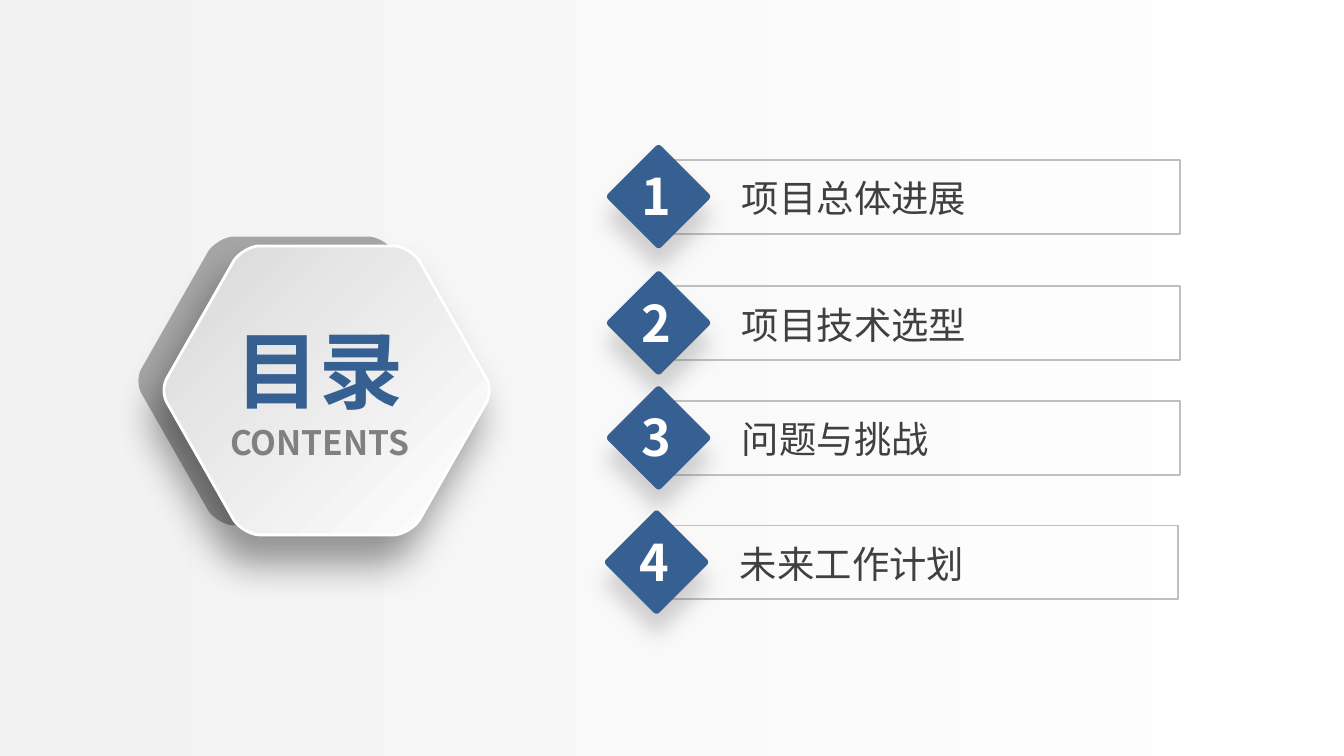
import dataclasses
import typing

import lxml.etree
import pptx
import pptx.dml.color
import pptx.enum.shapes
import pptx.enum.text
import pptx.oxml.ns
import pptx.util

# The slide is a grid of 100 columns by 56.25 rows with square cells
COLUMNS, ROWS = 100, 56.25
CELL = pptx.util.Inches(0.1)
FONT = "Noto Sans CJK SC"
BLUE, WHITE, SILVER = "376092", "FFFFFF", "BFBFBF"
SHAPE = pptx.enum.shapes.MSO_SHAPE
ALIGN = pptx.enum.text.PP_ALIGN
ANCHOR = pptx.enum.text.MSO_ANCHOR
FIT = pptx.enum.text.MSO_AUTO_SIZE
Point = tuple[float, float]


@dataclasses.dataclass
class Area:
    column: float
    row: float
    width: float
    height: float

    def emu(self) -> list[int]:
        return [cells(n) for n in dataclasses.astuple(self)]


@dataclasses.dataclass
class Style:
    size: float
    color: str
    bold: bool = True
    align: typing.Any = ALIGN.CENTER
    anchor: typing.Any = ANCHOR.TOP
    margins: Point = (0.7, 0.4)
    wrap: bool = True
    fit: typing.Any = FIT.SHAPE_TO_FIT_TEXT


@dataclasses.dataclass
class Shadow:
    color: str
    opacity: int
    blur: float
    distance: float
    angle: int


@dataclasses.dataclass
class Entry:
    text: str
    column: float
    row: float


TITLE = Style(45, BLUE, margins=(1, 0.5))
SUBTITLE = Style(18, "808080", anchor=ANCHOR.MIDDLE, fit=FIT.NONE)
ENTRY = Style(20, "404040", bold=False, align=ALIGN.LEFT)
NUMBER = Style(27, WHITE, align=ALIGN.LEFT, wrap=False)
HEXAGON_SHADOW = Shadow("000000", 40, 21, 16, 113)
DIAMOND_SHADOW = Shadow("595959", 25, 11, 11, 90)
ENTRIES = [
    Entry("项目总体进展", 48.9, 11.9),
    Entry("项目技术选型", 48.9, 21.3),
    Entry("问题与挑战", 48.9, 29.85),
    Entry("未来工作计划", 48.75, 39.1),
]

# Hexagon corners as Bezier control points, in cells
HEXAGON_WIDTH, HEXAGON_HEIGHT = 24.2, 21.5
LOWER_CORNER = [(7.1, 21.5), (6.5, 21.5), (5.6, 21), (5.2, 20.4)]
SIDE_CORNER = [(0.3, 11.8), (-0.1, 11.2), (-0.1, 10.3), (0.3, 9.7)]
CURVE_STEPS = 10


def cells(count: float) -> int:
    return round(count * CELL)


def rgb(color: str) -> pptx.dml.color.RGBColor:
    return pptx.dml.color.RGBColor.from_string(color)


def fill_gradient(fill, start: str, end: str, angle: float) -> None:
    fill.gradient()
    fill.gradient_angle = angle
    for stop, color in zip(fill.gradient_stops, (start, end)):
        stop.color.rgb = rgb(color)


def add_shadow(shape, shadow: Shadow) -> None:
    shape.shadow.inherit = False
    name = pptx.oxml.ns.qn
    effects = shape.element.spPr.find(name("a:effectLst"))
    outer = lxml.etree.SubElement(
        effects, name("a:outerShdw"),
        blurRad=str(pptx.util.Pt(shadow.blur)),
        dist=str(pptx.util.Pt(shadow.distance)),
        dir=str(shadow.angle * 60000), algn="ctr", rotWithShape="0")
    color = lxml.etree.SubElement(outer, name("a:srgbClr"), val=shadow.color)
    lxml.etree.SubElement(color, name("a:alpha"), val=str(shadow.opacity * 1000))


def write(box, text: str, style: Style) -> None:
    frame = box.text_frame
    frame.text = text
    frame.word_wrap = style.wrap
    frame.auto_size = style.fit
    frame.vertical_anchor = style.anchor
    frame.margin_left = frame.margin_right = cells(style.margins[0])
    frame.margin_top = frame.margin_bottom = cells(style.margins[1])
    para = frame.paragraphs[0]
    para.alignment = style.align
    for span in para.runs:
        span.font.name = FONT
        span.font.size = pptx.util.Pt(style.size)
        span.font.bold = style.bold
        span.font.color.rgb = rgb(style.color)
        lxml.etree.SubElement(span.font._element, pptx.oxml.ns.qn("a:ea"), typeface=FONT)


def add_text(shapes, area: Area, text: str, style: Style) -> None:
    write(shapes.add_textbox(*area.emu()), text, style)


def curve(control: list[Point]) -> list[Point]:
    points = []
    for step in range(CURVE_STEPS + 1):
        t = step / CURVE_STEPS
        weights = ((1 - t) ** 3, 3 * t * (1 - t) ** 2, 3 * t * t * (1 - t), t ** 3)
        points.append((sum(w * x for w, (x, y) in zip(weights, control)),
                       sum(w * y for w, (x, y) in zip(weights, control))))
    return points


def add_hexagon(shapes, column: float, row: float):
    lower = curve(LOWER_CORNER)
    upper = [(x, HEXAGON_HEIGHT - y) for x, y in reversed(lower)]
    left = lower + curve(SIDE_CORNER) + upper
    right = [(HEXAGON_WIDTH - x, y) for x, y in reversed(left)]
    points = [(cells(column + x), cells(row + y)) for x, y in left + right]
    builder = shapes.build_freeform(*points[0])
    builder.add_line_segments(points[1:], close=True)
    return builder.convert_to_shape()


def add_entry(page, number: int, entry: Entry) -> None:
    shapes = page.shapes.add_group_shape().shapes
    column, row = entry.column, entry.row
    # Frame and wording
    frame = shapes.add_shape(SHAPE.RECTANGLE, *Area(column, row, 38.9, 5.5).emu())
    frame.shadow.inherit = False
    frame.fill.background()
    frame.line.color.rgb = rgb(SILVER)
    frame.line.width = pptx.util.Pt(1)
    add_text(shapes, Area(column + 5.6, row + 0.75, 27.2, 4.1), entry.text, ENTRY)
    # Numbered diamond
    diamond = shapes.add_shape(SHAPE.ROUNDED_RECTANGLE,
                               *Area(column - 2.7, row - 0.07, 5.6, 5.6).emu())
    diamond.adjustments[0] = 0.05
    diamond.rotation = 45
    diamond.fill.solid()
    diamond.fill.fore_color.rgb = rgb(BLUE)
    diamond.line.fill.background()
    add_shadow(diamond, DIAMOND_SHADOW)
    add_text(shapes, Area(column - 1.9, row, 3.8, 5.3), str(number), NUMBER)


def main() -> None:
    deck = pptx.Presentation()
    deck.slide_width, deck.slide_height = cells(COLUMNS), cells(ROWS)
    page = deck.slides.add_slide(deck.slide_layouts[5])
    fill_gradient(page.background.fill, "F2F2F2", WHITE, 0)

    # Two stacked hexagons
    back = add_hexagon(page.shapes, 10.3, 17.6)
    back.shadow.inherit = False
    back.fill.solid()
    back.fill.fore_color.rgb = rgb("A6A6A6")
    back.line.fill.background()
    front = add_hexagon(page.shapes, 12.2, 18.3)
    fill_gradient(front.fill, "D9D9D9", WHITE, 315)
    front.line.color.rgb = rgb(WHITE)
    front.line.width = pptx.util.Pt(1.5)
    add_shadow(front, HEXAGON_SHADOW)

    # Title, raised above the hexagons
    title = page.shapes.title
    title.left, title.top, title.width, title.height = Area(14.8, 23.2, 17.9, 8.6).emu()
    write(title, "目录", TITLE)
    front.element.addnext(title.element)
    add_text(page.shapes, Area(14.8, 30.8, 18, 4.2), "CONTENTS", SUBTITLE)

    # Numbered contents
    for number, entry in enumerate(ENTRIES, 1):
        add_entry(page, number, entry)
    deck.save("out.pptx")


if __name__ == "__main__":
    main()
